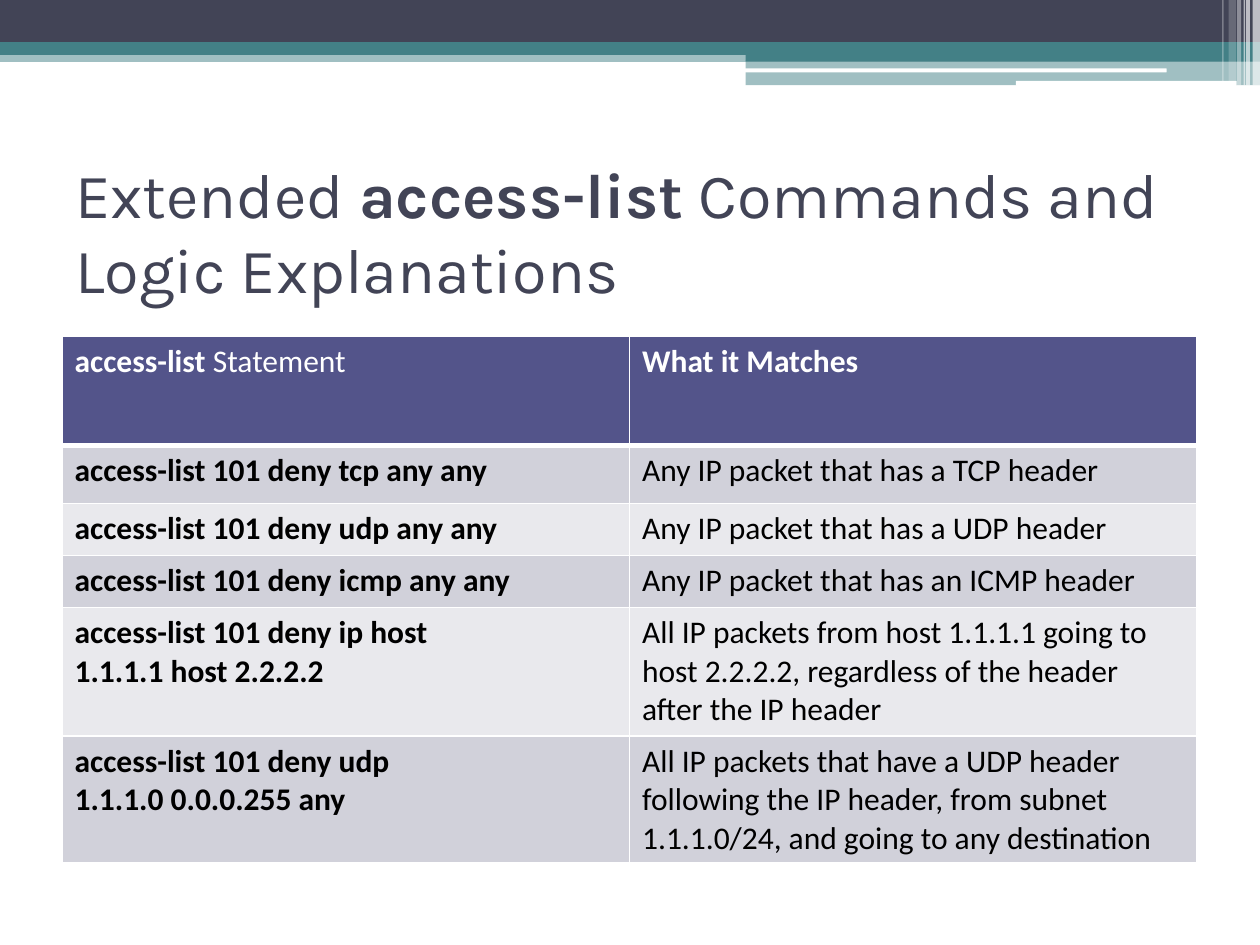
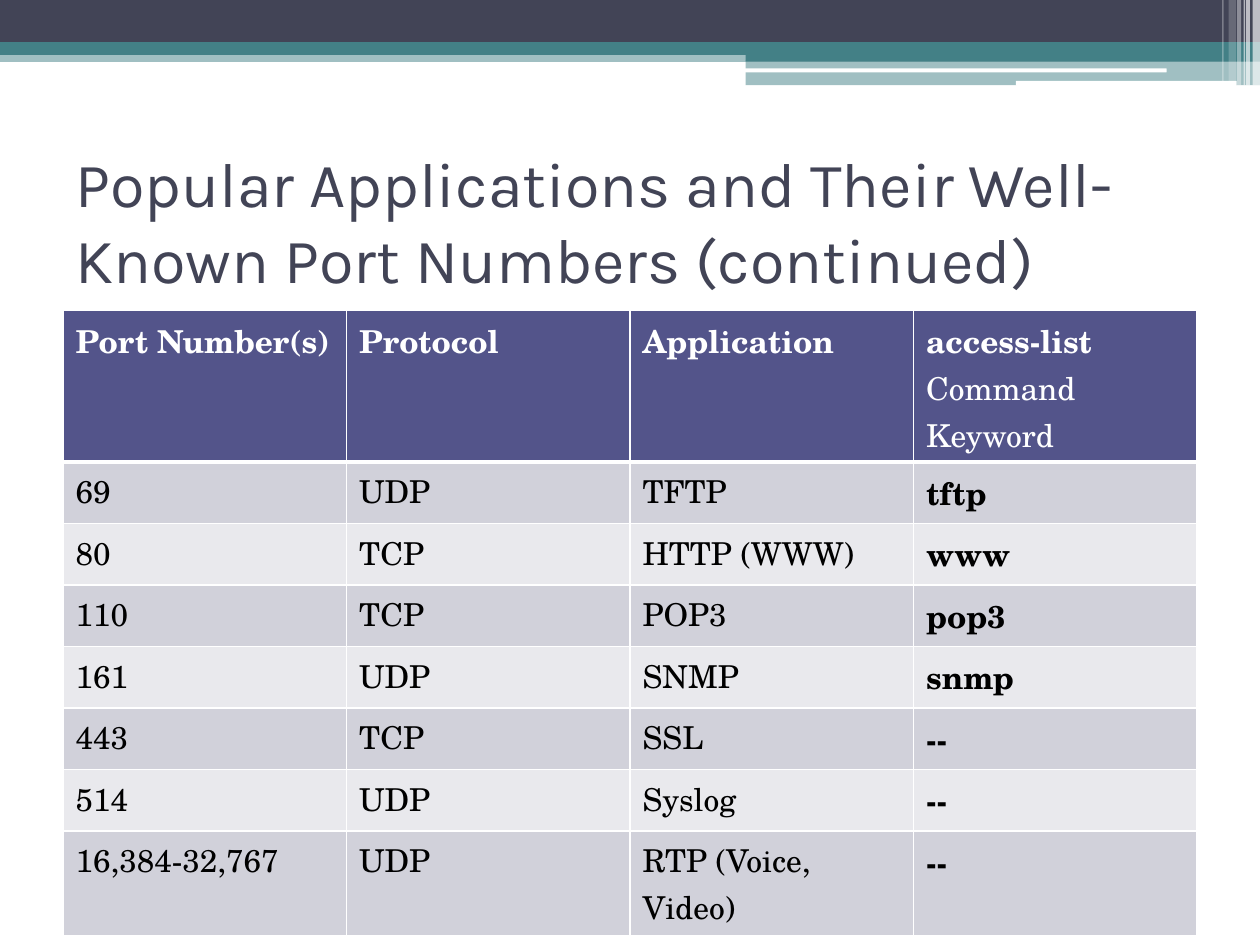
"""Build two slides on extended access lists and well-known port numbers."""
from dataclasses import dataclass

from lxml.etree import SubElement
from pptx import Presentation
from pptx.dml.color import RGBColor
from pptx.enum.shapes import MSO_SHAPE as Shape
from pptx.enum.text import MSO_ANCHOR as Anchor
from pptx.oxml.ns import qn
from pptx.util import Cm, Pt

COLORS = {
    "navy": "424456",
    "teal": "438086",
    "white": "FFFFFF",
    "black": "000000",
    "header": "53548A",
    "row_dark": "D1D1DA",
    "row_light": "E9E9ED",
}
SLIDE_WIDTH, SLIDE_HEIGHT = 25.4, 19.05
MARGIN, CONTENT_WIDTH = 1.27, 22.86
TITLE_TOP = 3.17


@dataclass(frozen=True)
class Band:
    left: float
    top: float
    width: float
    height: float
    color: str
    opacity: int = 100
    rounded: bool = False


@dataclass(frozen=True)
class TableSlide:
    title: str
    title_height: float
    table_left: float
    table_top: float
    table_width: float
    font: str
    row_heights: list[float]
    rows: list[list[str]]


STEP_LEFT = 15.03
STEP_WIDTH = SLIDE_WIDTH - STEP_LEFT
STRIPES = [
    (25.25, 0.15, 1.73, 65),
    (25.12, 0.08, 1.73, 65),
    (25.07, 0.03, 1.73, 60),
    (24.94, 0.08, 1.73, 40),
    (24.77, 0.15, 1.63, 20),
    (24.64, 0.03, 1.63, 30),
]
BANDS = [
    Band(0, 1.02, SLIDE_WIDTH, 0.23, "teal", 50),
    Band(0, 0, SLIDE_WIDTH, 0.87, "navy"),
    Band(0, 0.85, SLIDE_WIDTH, 0.26, "teal"),
    Band(STEP_LEFT, 0.99, STEP_WIDTH, 0.25, "teal"),
    Band(STEP_LEFT, 1.22, STEP_WIDTH, 0.5, "teal", 50),
    Band(15.01, 1.38, 8.51, 0.08, "white", rounded=True),
    Band(20.48, 1.63, 4.45, 0.1, "white", rounded=True),
    *(Band(left, 0, width, height, "white", opacity)
      for left, width, height, opacity in STRIPES),
]

SLIDES = [
    TableSlide(
        title="Extended **access-list** Commands and Logic Explanations",
        title_height=2.97,
        table_left=1.25,
        table_top=6.78,
        table_width=22.88,
        font="Calibri",
        row_heights=[2.2, 1.17, 1.05, 1.05, 2.59, 2.56],
        rows=[
            ["**access-list** Statement", "**What it Matches**"],
            ["**access-list 101 deny tcp any any**",
             "Any IP packet that has a TCP header"],
            ["**access-list 101 deny udp any any**",
             "Any IP packet that has a UDP header"],
            ["**access-list 101 deny icmp any any**",
             "Any IP packet that has an ICMP header"],
            ["**access-list 101 deny ip host**\n**1.1.1.1 host 2.2.2.2**",
             "All IP packets from host 1.1.1.1 going to host 2.2.2.2, "
             "regardless of the header after the IP header"],
            ["**access-list 101 deny udp**\n**1.1.1.0 0.0.0.255 any**",
             "All IP packets that have a UDP header following the IP header, "
             "from subnet 1.1.1.0/24, and going to any destination"],
        ],
    ),
    TableSlide(
        title="Popular Applications and Their Well-Known Port Numbers (continued)",
        title_height=2.54,
        table_left=MARGIN,
        table_top=6.25,
        table_width=CONTENT_WIDTH,
        font="TeX Gyre Schola",
        row_heights=[3.06] + [1.24] * 6 + [2.12],
        rows=[
            ["**Port Number(s)**", "**Protocol**", "**Application**",
             "**access-list **Command Keyword"],
            ["69", "UDP", "TFTP", "**tftp**"],
            ["80", "TCP", "HTTP (WWW)", "**www**"],
            ["110", "TCP", "POP3", "**pop3**"],
            ["161", "UDP", "SNMP", "**snmp**"],
            ["443", "TCP", "SSL", "**--**"],
            ["514", "UDP", "Syslog", "**--**"],
            ["16,384-32,767", "UDP", "RTP (Voice, Video)", "**--**"],
        ],
    ),
]


def rgb(name: str) -> RGBColor:
    """Return the palette colour with this name."""
    return RGBColor.from_string(COLORS[name])


def write_text(frame, text: str, *, font: str, size: float, color: str) -> None:
    """Write one paragraph per line, with **marked** parts in bold."""
    frame.word_wrap = True
    for line_number, line in enumerate(text.split("\n")):
        paragraph = frame.add_paragraph() if line_number else frame.paragraphs[0]
        for part_number, part in enumerate(line.split("**")):
            if part:
                run = paragraph.add_run()
                run.text = part
                run.font.name = font
                run.font.size = Pt(size)
                run.font.bold = part_number % 2 == 1
                run.font.color.rgb = rgb(color)


def draw_band(slide, band: Band) -> None:
    """Draw one bar of the top decoration."""
    kind = Shape.ROUNDED_RECTANGLE if band.rounded else Shape.RECTANGLE
    shape = slide.shapes.add_shape(
        kind, Cm(band.left), Cm(band.top), Cm(band.width), Cm(band.height))
    shape.shadow.inherit = False
    shape.line.fill.background()
    shape.fill.solid()
    shape.fill.fore_color.rgb = rgb(band.color)
    if band.opacity < 100:
        color = shape.fill._xPr.find(".//" + qn("a:srgbClr"))
        SubElement(color, qn("a:alpha"), val=str(band.opacity * 1000))


def draw_title(slide, text: str, height: float) -> None:
    """Draw the slide title, centred vertically in its box."""
    box = slide.shapes.add_textbox(
        Cm(MARGIN), Cm(TITLE_TOP), Cm(CONTENT_WIDTH), Cm(height))
    box.text_frame.vertical_anchor = Anchor.MIDDLE
    write_text(box.text_frame, text, font="Karla", size=36, color="navy")


def set_borders(cell, **widths: float) -> None:
    """Give the cell white borders of these widths in points."""
    properties = cell._tc.get_or_add_tcPr()
    for side, width in widths.items():
        line = SubElement(properties, qn(f"a:ln{side}"), w=str(Pt(width)))
        fill = SubElement(line, qn("a:solidFill"))
        SubElement(fill, qn("a:srgbClr"), val=COLORS["white"])


def draw_table(slide, content: TableSlide) -> None:
    """Draw the banded table with equal columns."""
    table = slide.shapes.add_table(
        len(content.rows), len(content.rows[0]),
        Cm(content.table_left), Cm(content.table_top),
        Cm(content.table_width), Cm(sum(content.row_heights))).table
    table.horz_banding = False
    for row_number, texts in enumerate(content.rows):
        table.rows[row_number].height = Cm(content.row_heights[row_number])
        is_header = row_number == 0
        band = "row_dark" if row_number % 2 else "row_light"
        for column, text in enumerate(texts):
            cell = table.cell(row_number, column)
            set_borders(cell, L=1, R=1, T=3 if row_number == 1 else 1,
                        B=3 if is_header else 1)
            cell.fill.solid()
            cell.fill.fore_color.rgb = rgb("header" if is_header else band)
            write_text(cell.text_frame, text, font=content.font, size=18,
                       color="white" if is_header else "black")


def main() -> None:
    """Build and save the presentation."""
    presentation = Presentation()
    presentation.slide_width = Cm(SLIDE_WIDTH)
    presentation.slide_height = Cm(SLIDE_HEIGHT)
    for content in SLIDES:
        slide = presentation.slides.add_slide(presentation.slide_layouts[6])
        for band in BANDS:
            draw_band(slide, band)
        draw_title(slide, content.title, content.title_height)
        draw_table(slide, content)
    presentation.save("out.pptx")


if __name__ == "__main__":
    main()
